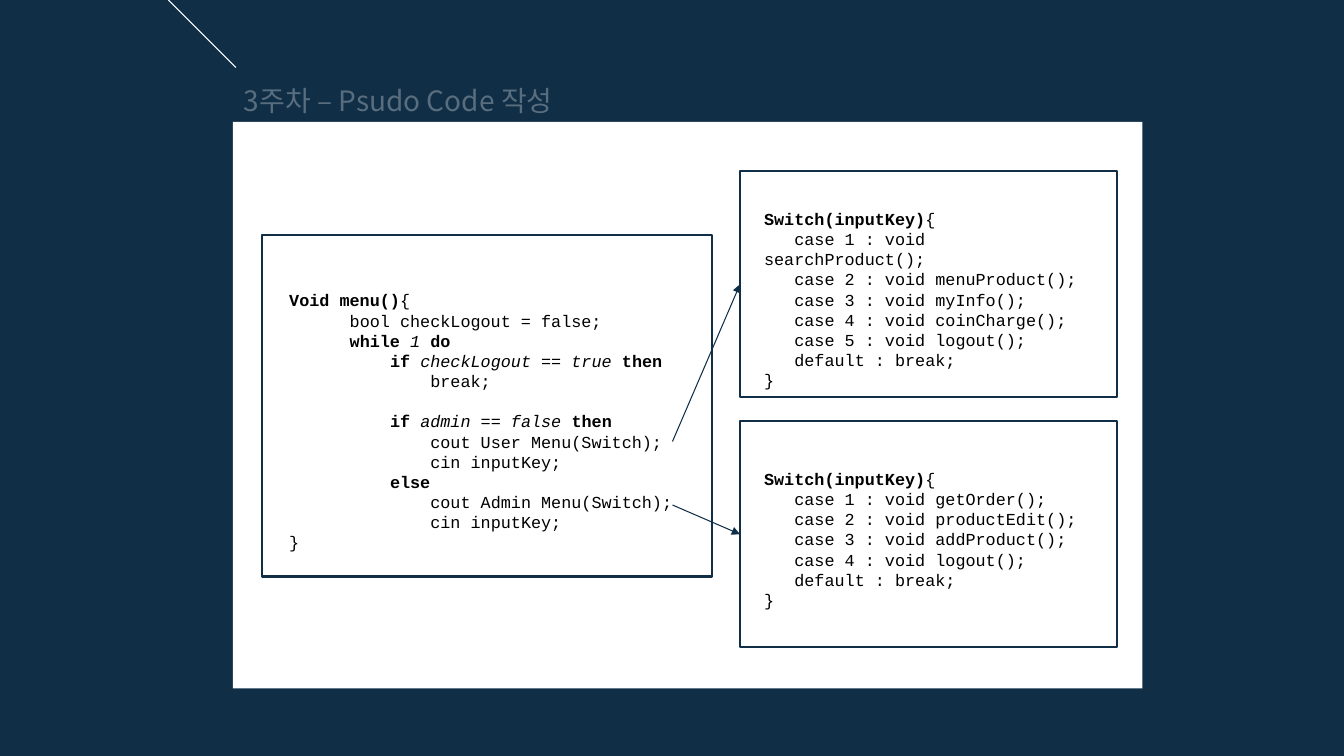
from pptx import Presentation
from pptx.util import Inches, Pt
from pptx.dml.color import RGBColor
from pptx.enum.shapes import MSO_SHAPE, MSO_CONNECTOR
from pptx.oxml.ns import qn
from lxml import etree

RECT = MSO_SHAPE.RECTANGLE
LINE = MSO_CONNECTOR.STRAIGHT
COLORS = {"navy": "102E46", "white": "FFFFFF", "title": "586D7E", "code": "000000"}
SANS, MONO = "Noto Sans CJK KR", "Courier New"
CHAR, PITCH = 0.1, 14.4

TITLE = [(0, 0, [("3주차 – Psudo Code 작성", "")])]
MENU = [
    (0, 0, [("Void menu()", "b"), ("{", "")]),
    (6, 0, [("bool checkLogout = false;", "")]),
    (6, 0, [("while ", "b"), ("1 ", "i"), ("do", "b")]),
    (10, 0, [("if ", "b"), ("checkLogout == true ", "i"), ("then", "b")]),
    (14, 0, [("break;", "")]),
    (10, 1, [("if ", "b"), ("admin == false ", "i"), ("then", "b")]),
    (14, 0, [("cout User Menu(Switch);", "")]),
    (14, 0, [("cin inputKey;", "")]),
    (10, 0, [("else", "b")]),
    (14, 0, [("cout Admin Menu(Switch);", "")]),
    (14, 0, [("cin inputKey;", "")]),
    (0, 0, [("}", "")]),
]
USER = ["searchProduct", "menuProduct", "myInfo", "coinCharge", "logout"]
ADMIN = ["getOrder", "productEdit", "addProduct", "logout"]


def switch(calls):
    cases = [(3, 0, [(f"case {n} : void {call}();", "")])
             for n, call in enumerate(calls, 1)]
    return [(0, 0, [("Switch(inputKey)", "b"), ("{", "")]), *cases,
            (3, 0, [("default : break;", "")]), (0, 0, [("}", "")])]


PANELS = [
    ((2.6, 2.33, 4.46, 3.39), (2.77, 2.83, 4.57, 2.73), MENU),
    ((7.34, 1.7, 3.74, 2.24), (7.48, 2.02, 3.46, 1.72), switch(USER)),
    ((7.34, 4.18, 3.74, 2.24), (7.48, 4.6, 3.46, 1.51), switch(ADMIN)),
]
ARROWS = [((6.67, 4.38), (7.34, 2.82)), ((6.67, 5.01), (7.34, 5.3))]

deck = Presentation()
deck.slide_width, deck.slide_height = Inches(13.33), Inches(7.5)
slide = deck.slides.add_slide(deck.slide_layouts[6])


def tint(name):
    return RGBColor.from_string(COLORS[name])


def add_box(area, fill=None, edge=None):
    box = slide.shapes.add_shape(RECT, *map(Inches, area))
    box.shadow.inherit = False
    if fill:
        box.fill.solid()
        box.fill.fore_color.rgb = tint(fill)
    else:
        box.fill.background()
    if edge:
        box.line.color.rgb = tint(edge)
        box.line.width = Pt(1.5)
    else:
        box.line.fill.background()


def add_text(rows, area, font=MONO, size=12, color="code", pitch=None):
    frame = slide.shapes.add_textbox(*map(Inches, area)).text_frame
    frame.word_wrap = True
    for n, (indent, gap, parts) in enumerate(rows):
        para = frame.add_paragraph() if n else frame.paragraphs[0]
        if pitch:
            para.line_spacing = Pt(pitch)
            para.space_before = Pt(gap * pitch)
        props = para._p.get_or_add_pPr()
        props.set("marL", "0")
        props.set("indent", str(Inches(indent * CHAR)))
        for words, style in parts:
            run = para.add_run()
            run.text = words
            run.font.name, run.font.size = font, Pt(size)
            run.font.bold, run.font.italic = style == "b", style == "i"
            run.font.color.rgb = tint(color)
            east = etree.SubElement(run._r.get_or_add_rPr(), qn("a:ea"))
            east.set("typeface", font)


def add_line(start, end, color, arrow=False):
    link = slide.shapes.add_connector(LINE, *map(Inches, start + end))
    link.line.color.rgb = tint(color)
    link.line.width = Pt(0.75)
    if arrow:
        tip = etree.SubElement(link.line._get_or_add_ln(), qn("a:tailEnd"))
        tip.set("type", "triangle")
    etree.SubElement(link._element.spPr, qn("a:effectLst"))


slide.background.fill.solid()
slide.background.fill.fore_color.rgb = tint("navy")
add_box((2.31, 1.21, 9.02, 5.62), fill="white")
add_line((1.67, 0), (2.34, 0.67), "white")
add_text(TITLE, (2.32, 0.78, 4.2, 0.44), font=SANS, size=20, color="title")
for frame, area, rows in PANELS:
    add_box(frame, edge="navy")
    add_text(rows, area, pitch=PITCH)
for start, end in ARROWS:
    add_line(start, end, "navy", arrow=True)

deck.save("out.pptx")
